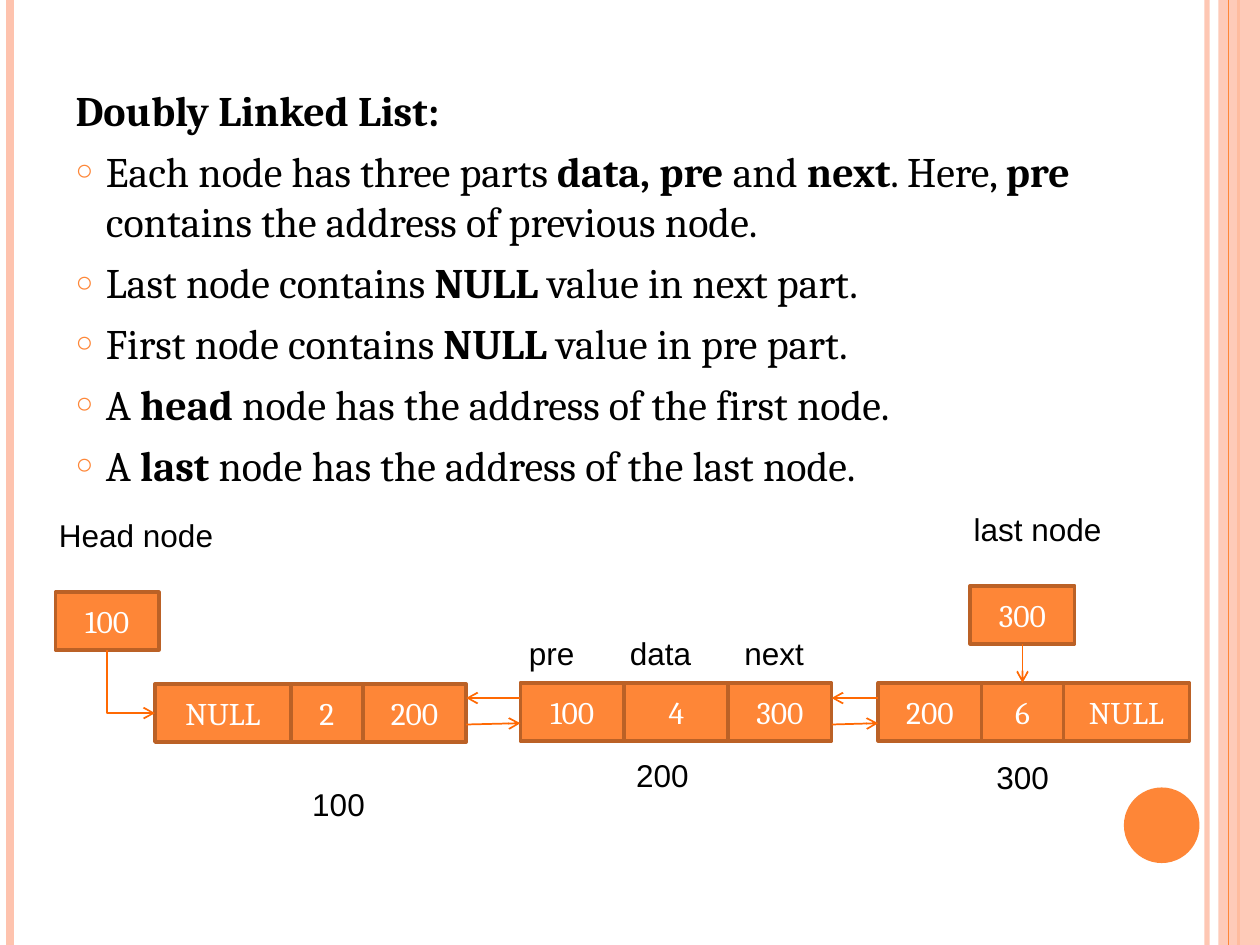
from lxml.etree import SubElement
from pptx import Presentation
from pptx.dml.color import RGBColor
from pptx.enum.shapes import MSO_CONNECTOR as Link, MSO_SHAPE as Form
from pptx.enum.text import MSO_ANCHOR as Anchor, MSO_AUTO_SIZE as Auto, PP_ALIGN as Align
from pptx.oxml.ns import qn
from pptx.util import Inches, Pt

ORANGE = RGBColor(0xFE, 0x86, 0x37)
BROWN = RGBColor(0xBB, 0x61, 0x26)
ARROW = RGBColor(0xFF, 0x69, 0x03)
PEACH = RGBColor(0xFE, 0xC3, 0xAE)
BLACK = RGBColor(0, 0, 0)
WHITE = RGBColor(0xFF, 0xFF, 0xFF)

# The grid has 100 columns and 75 rows of square units.
UNIT = Inches(0.1)
COLS, ROWS = 100, 75
CELL_H = 4.6
HANG = 2.4

HEADING = "Doubly Linked List:"
# Every second piece of an item, split at the bars, is bold.
ITEMS = [
    "Each node has three parts |data, pre| and |next|. Here, |pre"
    "| contains the address of previous node.",
    "Last node contains |NULL |value in next part.",
    "First node contains |NULL |value in pre part.",
    "A |head |node has the address of the first node.",
    "A |last |node has the address of the last node.",
]


def grid(*nums):
    return [round(n * UNIT) for n in nums]


def write(para, text, size=18, face="Arial", color=BLACK, bold=False):
    run = para.add_run()
    run.text = text
    font = run.font
    font.size, font.name, font.bold = Pt(size), face, bold
    font.color.rgb = color


def fade(fill, share):
    """Make a solid fill partly clear; share is its opacity in percent."""
    color = fill._xPr.find(qn("a:solidFill"))[0]
    SubElement(color, qn("a:alpha"), val=str(share * 1000))


def block(slide, form, box, color, edge=None):
    shape = slide.shapes.add_shape(form, *grid(*box))
    shape.shadow.inherit = False
    shape.fill.solid()
    shape.fill.fore_color.rgb = color
    if edge is None:
        shape.line.fill.background()
    else:
        shape.line.color.rgb = edge
        shape.line.width = Pt(2)
    return shape


def rule(slide, start, end, color=ARROW, width=1, tip=True, kind=Link.STRAIGHT):
    line = slide.shapes.add_connector(kind, *grid(*start, *end))
    line.line.color.rgb = color
    line.line.width = Pt(width)
    props = line._element.spPr
    if tip:
        SubElement(props.find(qn("a:ln")), qn("a:tailEnd"), type="arrow")
    SubElement(props, qn("a:effectLst"))
    return line


def label(slide, box, text):
    frame = slide.shapes.add_textbox(*grid(*box)).text_frame
    frame.word_wrap = True
    write(frame.paragraphs[0], text)


def cell(slide, box, text):
    shape = block(slide, Form.RECTANGLE, box, ORANGE, BROWN)
    frame = shape.text_frame
    frame.vertical_anchor = Anchor.MIDDLE
    para = frame.paragraphs[0]
    para.alignment = Align.CENTER
    write(para, text, face="Cambria", color=WHITE)
    return shape


def border(slide):
    """Draw the stripes at both sides and the disc at the lower right."""
    def stripe(x, color, width):
        return rule(slide, (x, 0), (x, ROWS), color, width, tip=False)

    fade(stripe(95.8, PEACH, 3).line.fill, 93)
    stripe(0.8, PEACH, 4.5)
    stripe(98.3, ORANGE, 1.5)
    band = block(slide, Form.RECTANGLE, (96.7, 0, COLS - 96.7, ROWS), PEACH)
    fade(band.fill, 87)
    stripe(97.5, ORANGE, 0.75)
    block(slide, Form.OVAL, (89.2, 62.5, 6, 6), ORANGE)


def bullet(para):
    props = para._p.get_or_add_pPr()
    hang = round(HANG * UNIT)
    props.set("marL", str(hang))
    props.set("indent", str(-hang))
    tint = SubElement(props, qn("a:buClr"))
    SubElement(tint, qn("a:srgbClr"), val=str(ORANGE))
    SubElement(props, qn("a:buSzPct"), val="70000")
    SubElement(props, qn("a:buChar"), char="○")


def plain(para):
    props = para._p.get_or_add_pPr()
    props.set("marL", "0")
    props.set("indent", "0")
    SubElement(props, qn("a:buNone"))


def points(slide, box):
    title, body = slide.placeholders
    title._element.getparent().remove(title._element)
    body.left, body.top, body.width, body.height = grid(*box)
    frame = body.text_frame
    frame.auto_size = Auto.NONE
    head = frame.paragraphs[0]
    plain(head)
    head.space_before = Pt(0)
    write(head, HEADING, 24, "Cambria", bold=True)
    for item in ITEMS:
        para = frame.add_paragraph()
        bullet(para)
        para.space_before = Pt(6)
        for i, part in enumerate(item.split("|")):
            write(para, part, 24, "Cambria", bold=i % 2 == 1)


def node(slide, x, y, parts):
    """Set the parts, pairs of text and width, side by side."""
    cells = []
    for text, wide in parts:
        cells.append(cell(slide, (x, y, wide, CELL_H), text))
        x += wide
    return cells


def pair(slide, left, right, y):
    """Join two nodes with an arrow each way across the gap."""
    rule(slide, (left, y + 3.3), (right, y + 3.2))
    rule(slide, (right, y + 1.2), (left, y + 1.2))


def elbow(slide, source, target):
    """Go down from the source, then right into the target's left side."""
    line = rule(slide, (0, 0), (0, 0), kind=Link.ELBOW)
    line.begin_connect(source, 2)
    line.end_connect(target, 1)
    x, y, wide, high = line.left, line.top, line.width, line.height
    # A quarter turn swaps the sides of the box about its centre.
    line.left, line.top = x + (wide - high) // 2, y + (high - wide) // 2
    line.width, line.height = high, wide
    props = line._element.spPr
    props.find(qn("a:prstGeom")).set("prst", "bentConnector2")
    turn = props.find(qn("a:xfrm"))
    turn.set("rot", str(270 * 60000))
    turn.set("flipH", "1")


def chain(slide, x, y):
    """Draw the three nodes, with their first one's corner at x, y."""
    mid, end = x + 29, x + 57.4
    first = node(slide, x, y + 0.1, [("NULL", 10.8), ("2", 5.7), ("200", 8.2)])
    node(slide, mid, y, [("100", 8.25), ("4", 8.25), ("300", 8.2)])
    last = node(slide, end, y, [("200", 8.2), ("6", 6.5), ("NULL", 10)])
    pair(slide, x + 24.7, mid, y)
    pair(slide, mid + 24.7, end, y)

    head = cell(slide, (x - 7.9, y - 7.2, 8.2, CELL_H), "100")
    tail = cell(slide, (x + 64.7, y - 7.7, 8.3, CELL_H), "300")
    elbow(slide, head, first[0])
    drop = rule(slide, (0, 0), (0, 0))
    drop.begin_connect(tail, 2)
    drop.end_connect(last[1], 0)

    for dx, dy, wide, text in [
        (-8.6, -13.7, 16.3, "Head node"), (64, -14.2, 16.3, "last node"),
        (28.7, -4.4, 6.3, "pre"), (36.7, -4.4, 7.9, "data"),
        (45.8, -4.4, 7.9, "next"), (11.5, 7.6, 8.6, "100"),
        (37.2, 5.3, 8.6, "200"), (65.8, 5.5, 8.6, "300"),
    ]:
        label(slide, (x + dx, y + dy, wide, 4), text)


def main():
    deck = Presentation()
    deck.slide_width, deck.slide_height = grid(COLS, ROWS)
    slide = deck.slides.add_slide(deck.slide_layouts[1])
    border(slide)
    points(slide, (5, 6.2, 81.7, 64.6))
    chain(slide, 12.3, 54.2)
    deck.save("out.pptx")


if __name__ == "__main__":
    main()
